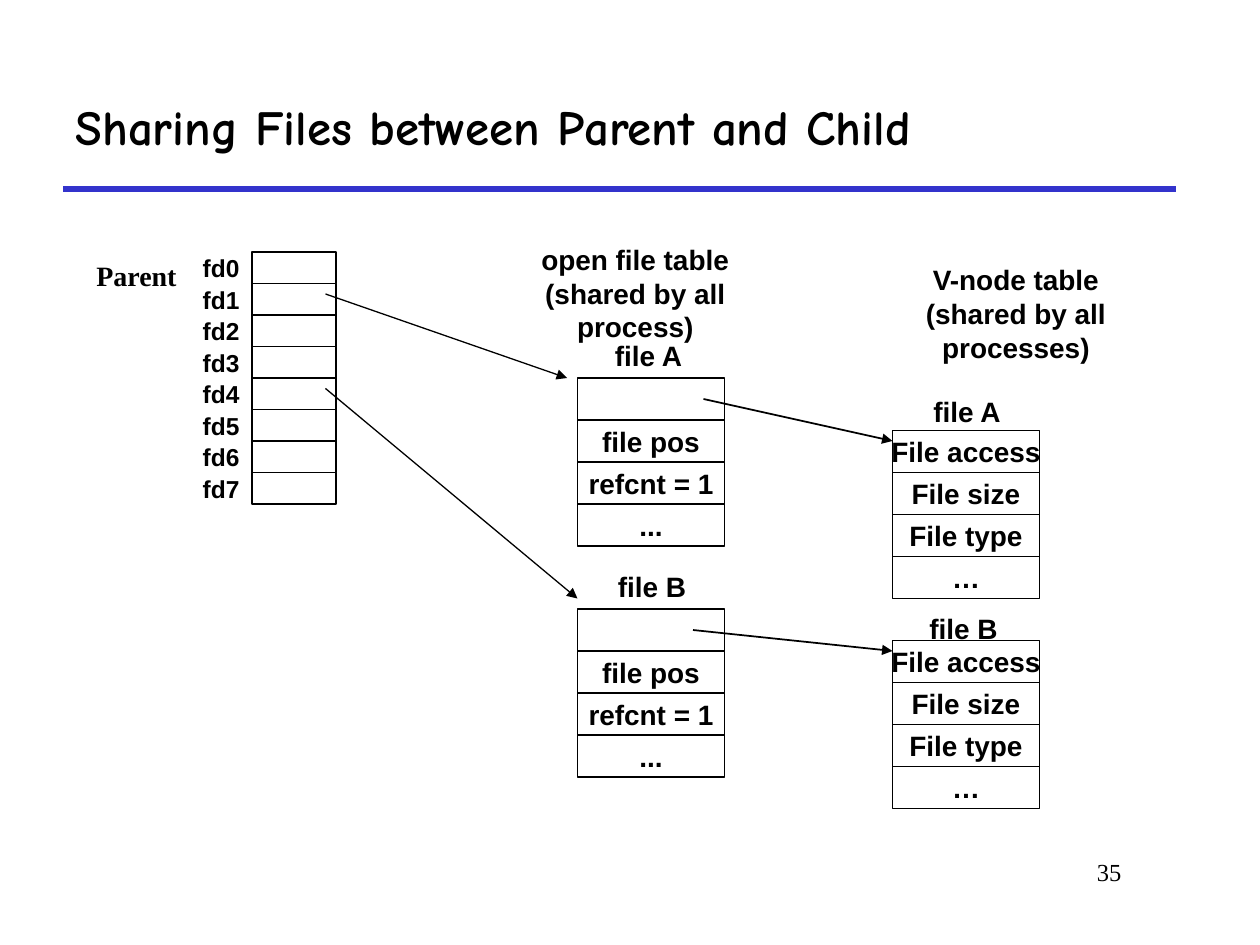
from lxml import etree
from pptx import Presentation
from pptx.dml.color import RGBColor
from pptx.enum.shapes import MSO_CONNECTOR, MSO_SHAPE
from pptx.enum.text import MSO_ANCHOR, MSO_AUTO_SIZE, PP_ALIGN
from pptx.oxml.ns import qn
from pptx.util import Pt

BLACK = RGBColor(0x00, 0x00, 0x00)
BLUE = RGBColor(0x33, 0x33, 0xCC)
LEFT, CENTER, RIGHT = PP_ALIGN.LEFT, PP_ALIGN.CENTER, PP_ALIGN.RIGHT
TOP, MIDDLE = MSO_ANCHOR.TOP, MSO_ANCHOR.MIDDLE
NO_AUTOFIT = MSO_AUTO_SIZE.NONE
RECTANGLE = MSO_SHAPE.RECTANGLE
STRAIGHT = MSO_CONNECTOR.STRAIGHT

OPEN_FILE_LEFT, VNODE_LEFT = 330, 510
ENTRY_WIDTH, ENTRY_HEIGHT = 84, 24
OPEN_FILE_FIELDS = ["", "file pos", "refcnt = 1", "..."]
VNODE_FIELDS = ["File access", "File size", "File type", "…"]
FD_COUNT, FD_LEFT, FD_TOP, FD_WIDTH, FD_HEIGHT = 8, 144, 144, 48, 18


def write(shape, text, size=16, font="Arial", bold=True, align=CENTER,
          anchor=MIDDLE, wrap=True):
    frame = shape.text_frame
    frame.text = text
    frame.auto_size = NO_AUTOFIT
    frame.word_wrap = wrap
    frame.vertical_anchor = anchor
    for paragraph in frame.paragraphs:
        paragraph.alignment = align
        paragraph.font.name = font
        paragraph.font.size = Pt(size)
        paragraph.font.bold = bold
        paragraph.font.color.rgb = BLACK


def add_label(shapes, text, left, top, width, height, **text_format):
    label = shapes.add_textbox(Pt(left), Pt(top), Pt(width), Pt(height))
    write(label, text, **text_format)


def add_cell(shapes, left, top, width, height, text=""):
    cell = shapes.add_shape(RECTANGLE, Pt(left), Pt(top), Pt(width), Pt(height))
    cell.shadow.inherit = False
    cell.fill.background()
    cell.line.color.rgb = BLACK
    cell.line.width = Pt(1)
    if text:
        write(cell, text, wrap=False)


def add_line(shapes, start, end, color=BLACK, width=1.0, arrow=True):
    line = shapes.add_connector(STRAIGHT, *map(Pt, start + end))
    line.line.color.rgb = color
    line.line.width = Pt(width)
    if arrow:
        etree.SubElement(line.line._get_or_add_ln(), qn("a:tailEnd"), type="triangle")
    etree.SubElement(line._element.spPr, qn("a:effectLst"))


def add_entry(shapes, left, top, fields):
    """Stack the fields of one file's table entry."""
    for row, field in enumerate(fields):
        add_cell(shapes, left, top + row * ENTRY_HEIGHT, ENTRY_WIDTH, ENTRY_HEIGHT, field)


def add_descriptor_table(shapes):
    descriptors = shapes.add_group_shape().shapes
    for fd in range(FD_COUNT):
        top = FD_TOP + fd * FD_HEIGHT
        add_cell(descriptors, FD_LEFT, top, FD_WIDTH, FD_HEIGHT)
        add_label(descriptors, f"fd{fd}", FD_LEFT - FD_WIDTH, top, FD_WIDTH, FD_HEIGHT,
                  size=14, align=RIGHT)


def add_title(slide, text):
    title = slide.shapes.title
    title.left, title.top, title.width, title.height = Pt(36), Pt(36), Pt(636), Pt(72)
    write(title, text, size=28, font="Comic Neue", align=LEFT)


def main():
    presentation = Presentation()
    presentation.slide_width, presentation.slide_height = Pt(720), Pt(540)
    slide = presentation.slides.add_slide(presentation.slide_layouts[5])
    shapes = slide.shapes

    add_title(slide, "Sharing Files between Parent and Child")
    add_line(shapes, (36, 108), (672, 108), color=BLUE, width=3, arrow=False)
    add_label(shapes, "35", 546, 486, 102, 36, size=14, font="Times New Roman",
              bold=False, align=RIGHT, anchor=TOP)

    add_label(shapes, "Parent", 48, 144, 126, 26.6, font="Times New Roman",
              align=LEFT, anchor=TOP)
    add_descriptor_table(shapes)

    add_label(shapes, "open file table\n(shared by all process)", 276, 135, 174, 65)
    add_label(shapes, "V-node table\n(shared by all processes)", 513, 146.5, 135, 65)

    for left, top, fields in [
        (OPEN_FILE_LEFT, 216, OPEN_FILE_FIELDS),
        (OPEN_FILE_LEFT, 348, OPEN_FILE_FIELDS),
        (VNODE_LEFT, 246, VNODE_FIELDS),
        (VNODE_LEFT, 366, VNODE_FIELDS),
    ]:
        add_entry(shapes, left, top, fields)

    for name, left, top in [
        ("file A", 344, 189.5),
        ("file B", 346, 321.5),
        ("file A", 526, 222),
        ("file B", 524, 345.5),
    ]:
        add_label(shapes, name, left, top, 53.3, 26.6, wrap=False)

    for start, end, width in [
        ((186, 168), (324, 216), 0.75),
        ((186, 222), (330, 342), 0.75),
        ((402, 228), (510, 252), 1),
        ((396, 360), (510, 372), 1),
    ]:
        add_line(shapes, start, end, width=width)

    presentation.save("out.pptx")


if __name__ == "__main__":
    main()
